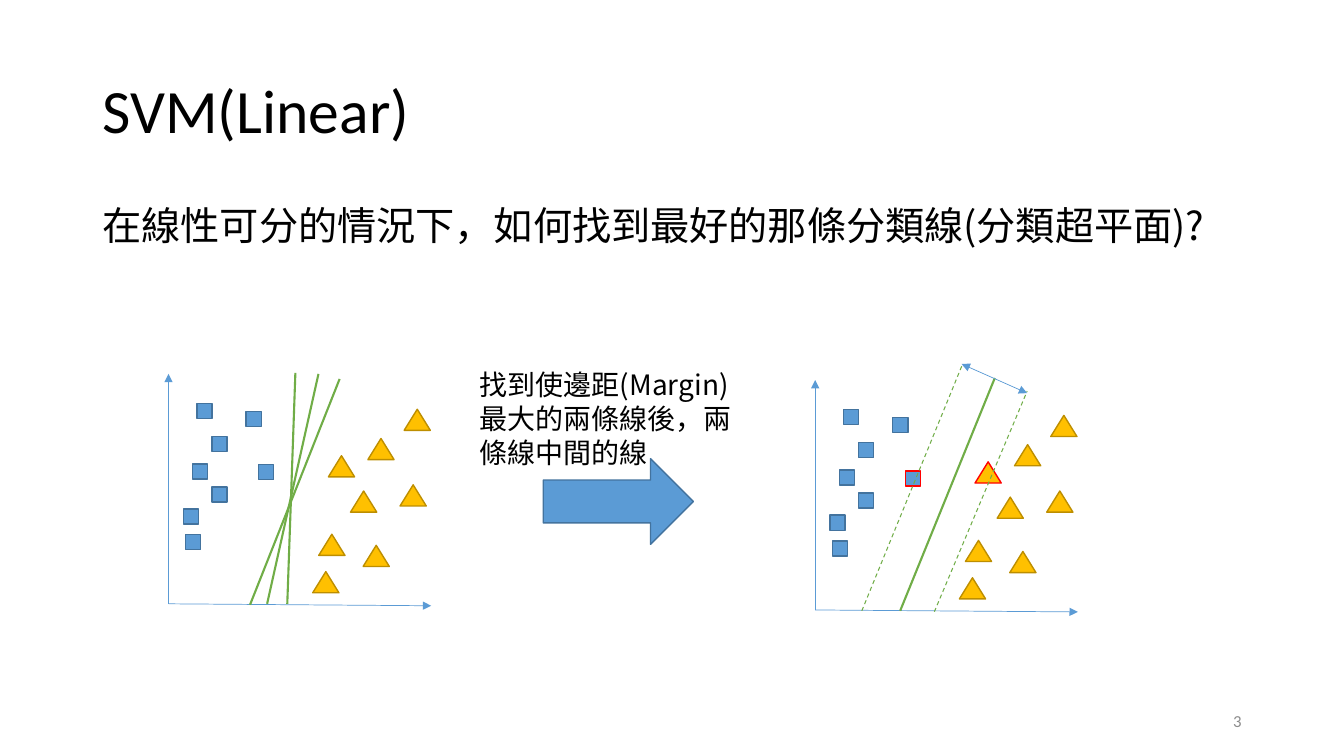
from lxml.etree import SubElement
from pptx import Presentation
from pptx.dml.color import RGBColor
from pptx.enum.dml import MSO_LINE
from pptx.enum.shapes import MSO_CONNECTOR, MSO_SHAPE
from pptx.enum.text import MSO_ANCHOR, MSO_AUTO_SIZE, PP_ALIGN
from pptx.oxml.ns import qn
from pptx.util import Pt

LATIN_FONT = "Calibri"
CHINESE_FONT = "Noto Sans CJK SC"
BLUE, BLUE_EDGE = "5B9BD5", "43739E"
GOLD, GOLD_EDGE = "FFC000", "BD8E00"
GREEN, RED, BLACK, GRAY = "70AD47", "FF0000", "000000", "8C8C8C"

SQUARES = [(20.2, -143.3), (31, -119.5), (55.4, -137.5), (31, -83.5),
           (17.2, -100), (64.4, -99.4), (12.2, -49.4), (10.6, -67.7)]
TRIANGLES = [(139, -41.8), (103, -23), (130, -80.6), (107.3, -49.7),
             (168.3, -139), (142.4, -118.1), (114.2, -105.8), (165.4, -85)]
SUPPORT_VECTORS = [SQUARES[5], TRIANGLES[6]]


def color(hex_string):
    """Turn a hex string into a colour."""
    return RGBColor.from_string(hex_string)


def place(shape, left, top, width, height):
    """Set the position and size of a shape in points."""
    shape.left, shape.top = Pt(left), Pt(top)
    shape.width, shape.height = Pt(width), Pt(height)


def write(shape, text, size, font_name, fill, align=PP_ALIGN.LEFT,
          anchor=MSO_ANCHOR.TOP, line_spacing=None):
    """Write one unbulleted paragraph into a shape."""
    frame = shape.text_frame
    frame.word_wrap = True
    frame.auto_size = MSO_AUTO_SIZE.NONE
    frame.vertical_anchor = anchor
    paragraph = frame.paragraphs[0]
    paragraph.alignment = align
    paragraph.space_before = Pt(0)
    paragraph.line_spacing = line_spacing
    properties = paragraph._p.get_or_add_pPr()
    properties.set("marL", "0")
    properties.set("indent", "0")
    SubElement(properties, qn("a:buNone"))
    run = paragraph.add_run()
    run.text = text
    run.font.size = Pt(size)
    run.font.color.rgb = color(fill)
    run.font.name = font_name
    SubElement(run._r.get_or_add_rPr(), qn("a:ea")).set("typeface", font_name)


def add_text(slide, box, *content, **options):
    """Add a text box with one paragraph."""
    shape = slide.shapes.add_textbox(*map(Pt, box))
    write(shape, *content, **options)


def add_figure(slide, preset, box, fill, edge):
    """Add a filled and outlined preset shape."""
    shape = slide.shapes.add_shape(preset, *map(Pt, box))
    shape.shadow.inherit = False
    shape.fill.solid()
    shape.fill.fore_color.rgb = color(fill)
    shape.line.color.rgb = color(edge)
    shape.line.width = Pt(1)


def add_line(slide, start, end, stroke, width, dashed=False, arrows=()):
    """Add a straight line with arrowheads at the named ends."""
    line = slide.shapes.add_connector(
        MSO_CONNECTOR.STRAIGHT, *map(Pt, (*start, *end)))
    line.line.color.rgb = color(stroke)
    line.line.width = Pt(width)
    if dashed:
        line.line.dash_style = MSO_LINE.DASH
    for arrow in arrows:
        SubElement(line.line._get_or_add_ln(), qn(f"a:{arrow}")).set("type", "triangle")
    SubElement(line._element.spPr, qn("a:effectLst"))


def add_scatter(slide, x, y, highlighted=()):
    """Draw the axes and both classes of points from an origin."""
    for end in ((x, y - 164.2), (x + 187.6, y + 1.4)):
        add_line(slide, (x, y), end, BLUE, 0.5, arrows=["tailEnd"])
    classes = [(MSO_SHAPE.RECTANGLE, SQUARES, 10.8, 10.8, BLUE, BLUE_EDGE),
               (MSO_SHAPE.ISOSCELES_TRIANGLE, TRIANGLES, 18.7, 15.1, GOLD, GOLD_EDGE)]
    for preset, points, width, height, fill, edge in classes:
        for point in points:
            box = (x + point[0], y + point[1], width, height)
            add_figure(slide, preset, box, fill, RED if point in highlighted else edge)


def add_candidate_lines(slide):
    """Draw the three possible separating lines."""
    for start, end in [((190.8, 431.3), (227.5, 267.1)),
                       ((178.6, 432), (242.6, 270.7)),
                       ((205.2, 431.3), (211, 266.4))]:
        add_line(slide, start, end, GREEN, 1.5)


def add_margin(slide):
    """Draw the best separating line, its borders and the margin arrow."""
    add_line(slide, (667.4, 437), (733.7, 279.4), GREEN, 0.75, dashed=True)
    add_line(slide, (615.6, 436.3), (687.6, 260), GREEN, 0.75, dashed=True)
    add_line(slide, (643, 436.3), (710.6, 270), GREEN, 1.5)
    add_line(slide, (686.9, 260), (733.7, 280.8), BLUE, 0.5,
             arrows=["headEnd", "tailEnd"])


def main():
    """Build the slide and save it."""
    presentation = Presentation()
    presentation.slide_width, presentation.slide_height = Pt(960), Pt(540)
    slide = presentation.slides.add_slide(presentation.slide_layouts[1])
    title, body = slide.placeholders
    place(title, 66, 28.8, 828, 104.4)
    write(title, "SVM(Linear)", 44, LATIN_FONT, BLACK,
          anchor=MSO_ANCHOR.MIDDLE, line_spacing=0.9)
    place(body, 66, 144, 828, 342.7)
    write(body, "在線性可分的情況下，如何找到最好的那條分類線(分類超平面)?",
          28, CHINESE_FONT, BLACK, line_spacing=0.9)
    add_text(slide, (678, 500.4, 216, 28.8), "3", 12, LATIN_FONT, GRAY,
             align=PP_ALIGN.RIGHT, anchor=MSO_ANCHOR.MIDDLE)
    add_scatter(slide, 120.4, 431.3)
    add_candidate_lines(slide)
    add_figure(slide, MSO_SHAPE.RIGHT_ARROW, (388, 327.6, 107.3, 61.2), BLUE, BLUE_EDGE)
    add_text(slide, (335.5, 259.2, 203, 80), "找到使邊距(Margin)最大的兩條線後，兩條線中間的線",
             20, CHINESE_FONT, BLACK)
    add_scatter(slide, 582.3, 435.7, SUPPORT_VECTORS)
    add_margin(slide)
    presentation.save("out.pptx")


if __name__ == "__main__":
    main()
